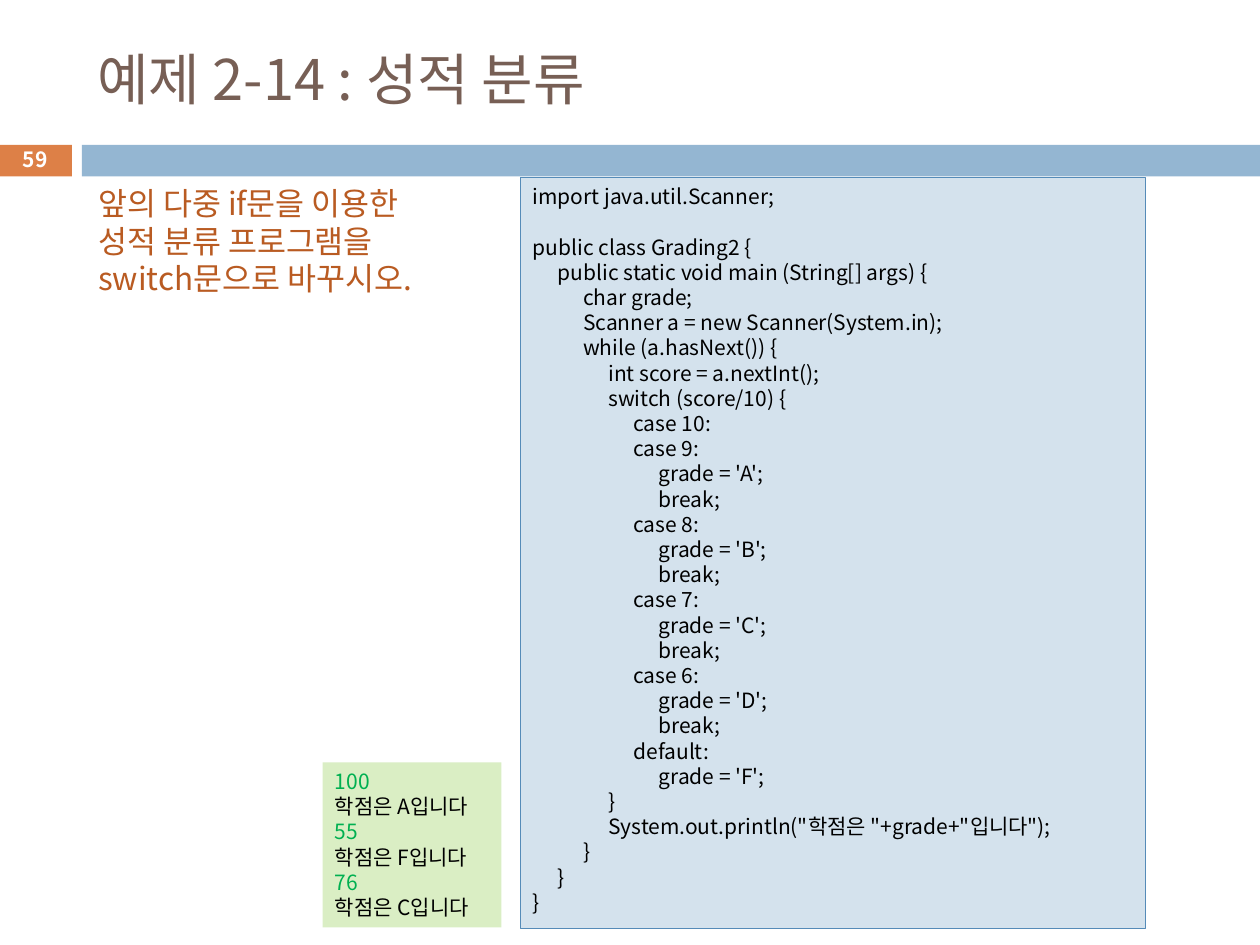
from lxml import etree
from pptx import Presentation
from pptx.dml.color import RGBColor
from pptx.enum import shapes, text
from pptx.oxml.ns import qn
from pptx.util import Inches, Pt

FONT = "Noto Sans CJK KR"
BLACK = RGBColor(0x00, 0x00, 0x00)
WHITE = RGBColor(0xFF, 0xFF, 0xFF)
BROWN = RGBColor(0x77, 0x5F, 0x55)
ORANGE = RGBColor(0xDD, 0x80, 0x47)
RUST = RGBColor(0xB9, 0x5B, 0x22)
BLUE = RGBColor(0x94, 0xB6, 0xD2)
PALE_BLUE = RGBColor(0xD4, 0xE2, 0xED)
EDGE_BLUE = RGBColor(0x55, 0x8B, 0xB8)
PALE_GREEN = RGBColor(0xDA, 0xEE, 0xC4)
GREEN = RGBColor(0x00, 0xB0, 0x50)

TAB_STEP = 0.2
LINE_PITCH = 1.2

CODE = """import java.util.Scanner;

public class Grading2 {
\tpublic static void main (String[] args) {
\t\tchar grade;
\t\tScanner a = new Scanner(System.in);
\t\twhile (a.hasNext()) {
\t\t\tint score = a.nextInt();
\t\t\tswitch (score/10) {
\t\t\t\tcase 10:
\t\t\t\tcase 9:
\t\t\t\t\tgrade = 'A';
\t\t\t\t\tbreak;
\t\t\t\tcase 8:
\t\t\t\t\tgrade = 'B';
\t\t\t\t\tbreak;
\t\t\t\tcase 7:
\t\t\t\t\tgrade = 'C';
\t\t\t\t\tbreak;
\t\t\t\tcase 6:
\t\t\t\t\tgrade = 'D';
\t\t\t\t\tbreak;
\t\t\t\tdefault:
\t\t\t\t\tgrade = 'F';
\t\t\t}
\t\t\tSystem.out.println("학점은 "+grade+"입니다");
\t\t}
\t}
}"""
TASK = "앞의 다중 if문을 이용한\n성적 분류 프로그램을\nswitch문으로 바꾸시오."
OUTPUT = "100\n학점은 A입니다\n55\n학점은 F입니다\n76\n학점은 C입니다"

presentation = Presentation()
presentation.slide_width = Inches(10)
presentation.slide_height = Inches(7.5)
slide = presentation.slides.add_slide(presentation.slide_layouts[5])


def add_box(left, top, width, height, fill=None, line=None):
    shape = slide.shapes.add_shape(
        shapes.MSO_SHAPE.RECTANGLE,
        Inches(left), Inches(top), Inches(width), Inches(height))
    shape.shadow.inherit = False
    shape.fill.solid()
    shape.fill.fore_color.rgb = fill
    if line is None:
        shape.line.fill.background()
    else:
        shape.line.color.rgb = line
        shape.line.width = Pt(0.75)
    return shape


def write(shape, content, size, colors, align=text.PP_ALIGN.LEFT,
          anchor=text.MSO_ANCHOR.TOP):
    """Fill a shape line by line, cycling through the colours."""
    frame = shape.text_frame
    frame.word_wrap = True
    frame.vertical_anchor = anchor
    frame.text = content
    for index, paragraph in enumerate(frame.paragraphs):
        paragraph.alignment = align
        paragraph.line_spacing = Pt(size * LINE_PITCH)
        depth = paragraph.text.count("\t")
        if depth:
            tabs = etree.SubElement(paragraph._p.get_or_add_pPr(), qn("a:tabLst"))
            for level in range(1, depth + 1):
                etree.SubElement(tabs, qn("a:tab"), algn="l",
                                 pos=str(Inches(TAB_STEP * level)))
        font = paragraph.font
        font.name = FONT
        font.size = Pt(size)
        font.color.rgb = colors[index % len(colors)]
        east_asian = etree.Element(qn("a:ea"), typeface=FONT)
        font._element.find(qn("a:latin")).addnext(east_asian)


add_box(-0.01, 1.15, 0.58, 0.25, ORANGE)
add_box(0.65, 1.15, 9.35, 0.25, BLUE)

title = slide.shapes.title
title.left, title.top = Inches(0.67), Inches(0.25)
title.width, title.height = Inches(8.92), Inches(0.74)
write(title, "예제 2-14 : 성적 분류", 32, [BROWN], anchor=text.MSO_ANCHOR.MIDDLE)

code_box = add_box(4.13, 1.41, 4.96, 5.96, PALE_BLUE, EDGE_BLUE)
write(code_box, CODE, 12, [BLACK])

task_box = slide.shapes.add_textbox(
    Inches(0.68), Inches(1.41), Inches(3.14), Inches(1.01))
write(task_box, TASK, 18, [RUST])

output_box = add_box(2.56, 6.05, 1.42, 1.31, PALE_GREEN)
write(output_box, OUTPUT, 12, [GREEN, BLACK])

number_box = slide.shapes.add_textbox(
    Inches(-0.01), Inches(1.13), Inches(0.58), Inches(0.27))
write(number_box, "59", 12, [WHITE], text.PP_ALIGN.CENTER, text.MSO_ANCHOR.MIDDLE)
number_box.text_frame.paragraphs[0].font.bold = True

presentation.save("out.pptx")
